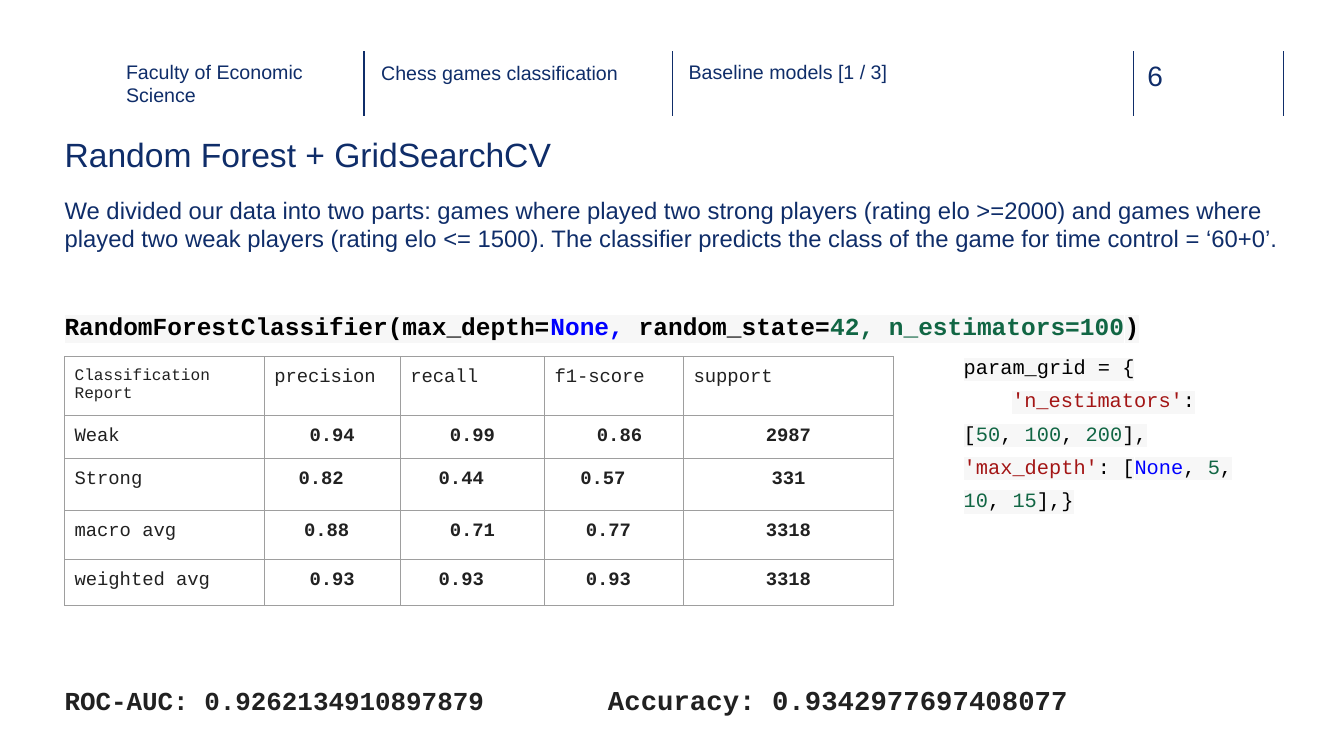
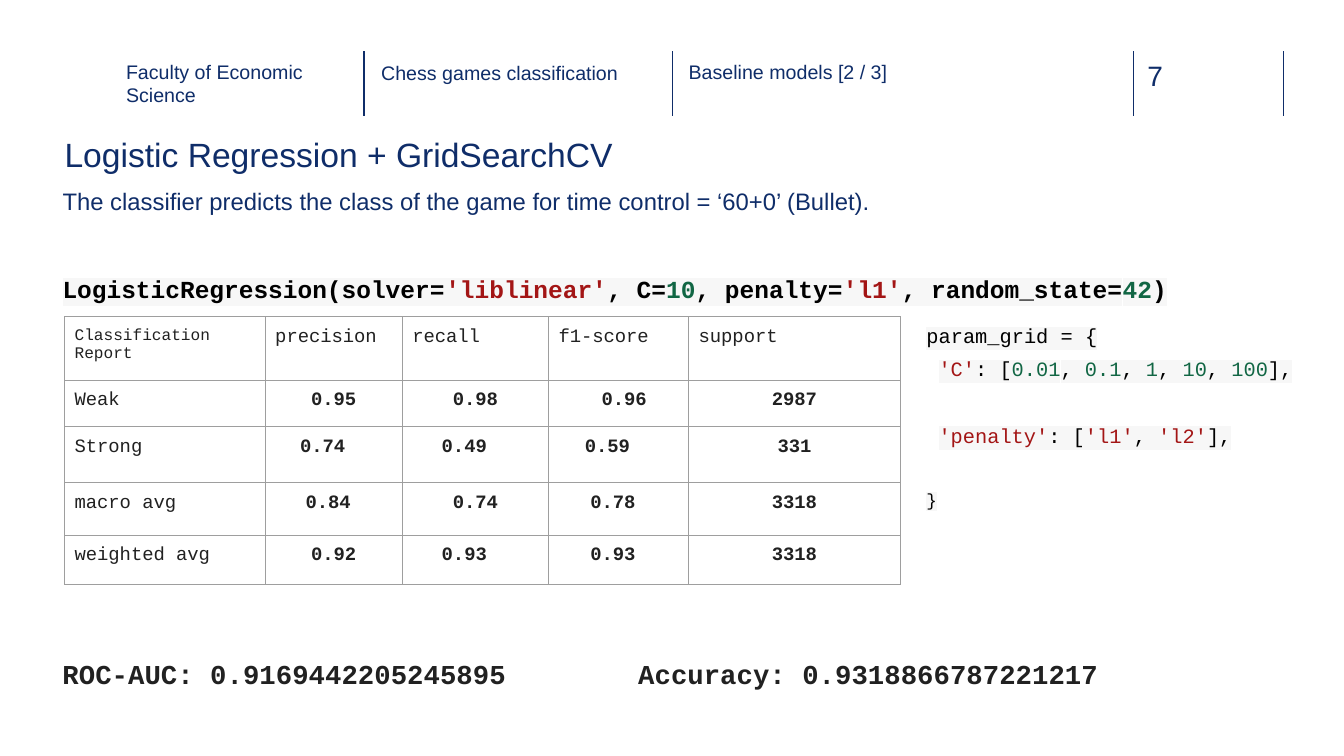
from dataclasses import dataclass

import lxml.etree
import pptx
import pptx.dml.color
import pptx.enum.shapes
import pptx.enum.text
import pptx.oxml.ns
import pptx.util

PX = 9144  # EMU in one px, 100 px to the inch


@dataclass(frozen=True)
class Theme:
    sans: str = "Arial"
    mono: str = "Courier New"
    navy: str = "0F2D69"
    black: str = "000000"
    ink: str = "212121"
    blue: str = "0000FF"
    green: str = "116644"
    red: str = "A31515"
    shade: str = "F7F7F7"
    grid: str = "9E9E9E"
    head: float = 14
    page: float = 20
    title: float = 24
    intro: float = 17
    call: float = 17.5
    code: float = 14.5
    brace: float = 12.5
    cell: float = 13.5
    corner: float = 11.5


THEME = Theme()
HEADS = ["precision", "recall", "f1-score", "support"]
LABELS = ["Weak", "Strong", "macro avg", "weighted avg"]
# Half-character nudges of the table values: positive moves left
NUDGE = [[0, 0, -1, 0], [2, 2, 2, 0], [1, 0, 1, 0], [0, 2, 1, 0]]
NUDGE_PX = 11
PAD = 10

SLIDES = [
    dict(
        page=6,
        part="Baseline models [1 / 3]",
        title="Random Forest + GridSearchCV",
        intro=(64, 194, "We divided our data into two parts: games where played two "
               "strong players (rating elo >=2000) and games where played two weak "
               "players (rating elo <= 1500). The classifier predicts the class of "
               "the game for time control = ‘60+0’."),
        call=(64, 309, "RandomForestClassifier(max_depth=|None, |random_state=|"
              "42, n_estimators=100|)"),
        top=354,
        cols=[198, 135, 143, 138, 208],
        rows=[55, 36, 52, 48, 46],
        values=[["0.94", "0.99", "0.86", "2987"], ["0.82", "0.44", "0.57", "331"],
                ["0.88", "0.71", "0.77", "3318"], ["0.93", "0.93", "0.93", "3318"]],
        box=(946, 333, 291, 257),
        # text, indent in px, space before in pt, size
        code=[("param_grid = {", 0, 0, THEME.code),
              ("'n_estimators'|: [|50|, |100|, |200|],", 48, 0, THEME.code),
              ("'max_depth'|: [|None|, |5|, |10|, |15|],}", 0, 0, THEME.code)],
        scores=[(64, 679, "ROC-AUC: 0.9262134910897879", 18.5),
                (603, 678, "Accuracy: 0.9342977697408077", 19.5)],
    ),
    dict(
        page=7,
        part="Baseline models [2 / 3]",
        title="Logistic Regression + GridSearchCV",
        intro=(62, 185, "The classifier predicts the class of the game for time "
               "control = ‘60+0’ (Bullet)."),
        call=(62, 272, "LogisticRegression(solver=|'liblinear'|, C=|10|, penalty=|"
              "'l1'|, random_state=|42|)"),
        top=314,
        cols=[199, 136, 145, 139, 210],
        rows=[63, 46, 56, 52, 49],
        values=[["0.95", "0.98", "0.96", "2987"], ["0.74", "0.49", "0.59", "331"],
                ["0.84", "0.74", "0.78", "3318"], ["0.92", "0.93", "0.93", "3318"]],
        box=(909, 302, 384, 257),
        code=[("param_grid = {", 0, 0, THEME.code),
              ("'C'|: [|0.01|, |0.1|, |1|, |10|, |100|],", 12, 0, THEME.code),
              ("'penalty'|: [|'l1'|, |'l2'|],", 12, 24, THEME.code),
              ("}", 0, 24, THEME.brace)],
        scores=[(62, 652, "ROC-AUC: 0.9169442205245895", 19.5),
                (633, 652, "Accuracy: 0.9318866787221217", 19.5)],
    ),
]


def rgb(tint):
    return pptx.dml.color.RGBColor.from_string(tint)


def style(run, font, size, tint, bold=False):
    run.font.name = font
    run.font.size = pptx.util.Pt(size)
    run.font.bold = bold
    run.font.color.rgb = rgb(tint)


def frame(slide, left, top, width, height, pad=0):
    """Add an empty wrapping text box and return its text frame."""
    box = slide.shapes.add_textbox(left * PX, top * PX, width * PX, height * PX)
    text = box.text_frame
    text.word_wrap = True
    text.margin_left = text.margin_right = pad * PX
    text.margin_top = text.margin_bottom = pad * PX
    return text


def label(slide, left, top, width, height, words, size,
          font=THEME.sans, tint=THEME.navy, bold=False):
    text = frame(slide, left, top, width, height)
    text.text = words
    style(text.paragraphs[0].runs[0], font, size, tint, bold)


def hue(token):
    """Pick the syntax colour from how a token starts."""
    if token.startswith("'"):
        return THEME.red
    if token.startswith("None"):
        return THEME.blue
    return THEME.green if token[0].isdigit() else THEME.black


def shade(run):
    mark = lxml.etree.Element(pptx.oxml.ns.qn("a:highlight"))
    tint = lxml.etree.SubElement(mark, pptx.oxml.ns.qn("a:srgbClr"))
    tint.set("val", THEME.shade)
    run.font._element.find(pptx.oxml.ns.qn("a:latin")).addprevious(mark)


def code_line(para, line, size, bold=False):
    """Write tokens split by bars as shaded, coloured runs."""
    for token in line.split("|"):
        run = para.add_run()
        run.text = token
        style(run, THEME.mono, size, hue(token), bold)
        shade(run)


def code_box(slide, box, lines):
    text = frame(slide, *box, pad=PAD)
    for index, (line, indent, gap, size) in enumerate(lines):
        para = text.add_paragraph() if index else text.paragraphs[0]
        para.line_spacing = 1.36
        para.space_before = pptx.util.Pt(gap)
        para._p.get_or_add_pPr().set("indent", str(indent * PX))
        code_line(para, line, size)


def rule(slide, left, top, height):
    line = slide.shapes.add_connector(
        pptx.enum.shapes.MSO_CONNECTOR.STRAIGHT,
        left * PX, top * PX, left * PX, (top + height) * PX)
    line.line.color.rgb = rgb(THEME.navy)
    line.line.width = pptx.util.Pt(1)
    lxml.etree.SubElement(line._element.spPr, pptx.oxml.ns.qn("a:effectLst"))


def header(slide, part, page):
    for left in (361, 667, 1124, 1273):
        rule(slide, left, 51, 64)
    label(slide, 125, 59, 208, 45, "Faculty of Economic Science", THEME.head)
    label(slide, 378, 60, 259, 45, "Chess games classification", THEME.head)
    label(slide, 683, 59, 226, 45, part, THEME.head)
    label(slide, 1138, 58, 73, 34, str(page), THEME.page)


def border(cell):
    props = cell._tc.get_or_add_tcPr()
    for index, side in enumerate(("a:lnL", "a:lnR", "a:lnT", "a:lnB")):
        edge = lxml.etree.Element(pptx.oxml.ns.qn(side))
        edge.set("w", str(pptx.util.Pt(0.75)))
        fill = lxml.etree.SubElement(edge, pptx.oxml.ns.qn("a:solidFill"))
        tint = lxml.etree.SubElement(fill, pptx.oxml.ns.qn("a:srgbClr"))
        tint.set("val", THEME.grid)
        props.insert(index, edge)


def fill_cell(cell, words, size=THEME.cell, nudge=None):
    """Write a cell; a nudge makes it a bold, centred value."""
    value = nudge is not None
    shift = nudge or 0
    cell.text = words
    cell.fill.background()
    border(cell)
    cell.margin_top = cell.margin_bottom = PAD * PX
    cell.margin_left = (PAD + NUDGE_PX * max(-shift, 0)) * PX
    cell.margin_right = (PAD + NUDGE_PX * max(shift, 0)) * PX
    para = cell.text_frame.paragraphs[0]
    if value:
        para.alignment = pptx.enum.text.PP_ALIGN.CENTER
    style(para.runs[0], THEME.mono, size, THEME.ink, value)


def report(slide, top, cols, rows, values):
    table = slide.shapes.add_table(
        len(rows), len(cols), 64 * PX, top * PX,
        sum(cols) * PX, sum(rows) * PX).table
    table.first_row = table.horz_banding = False
    for column, width in zip(table.columns, cols):
        column.width = width * PX
    for row, height in zip(table.rows, rows):
        row.height = height * PX
    fill_cell(table.cell(0, 0), "Classification Report", THEME.corner)
    for col, head in enumerate(HEADS, 1):
        fill_cell(table.cell(0, col), head)
    for row, name in enumerate(LABELS, 1):
        fill_cell(table.cell(row, 0), name)
        pairs = zip(values[row - 1], NUDGE[row - 1])
        for col, (value, nudge) in enumerate(pairs, 1):
            fill_cell(table.cell(row, col), value, nudge=nudge)


def build(deck, data):
    slide = deck.slides.add_slide(deck.slide_layouts[6])
    header(slide, data["part"], data["page"])
    label(slide, 64, 133, 1209, 52, data["title"], THEME.title)
    left, top, words = data["intro"]
    label(slide, left, top, 1209, 60, words, THEME.intro)
    left, top, line = data["call"]
    call = frame(slide, left, top, 1209, 30)
    code_line(call.paragraphs[0], line, THEME.call, bold=True)
    report(slide, data["top"], data["cols"], data["rows"], data["values"])
    code_box(slide, data["box"], data["code"])
    for left, top, words, size in data["scores"]:
        label(slide, left, top, 520, 32, words, size,
              THEME.mono, THEME.ink, bold=True)


def main():
    deck = pptx.Presentation()
    deck.slide_width = 1333 * PX
    deck.slide_height = 750 * PX
    for data in SLIDES:
        build(deck, data)
    deck.save("out.pptx")


if __name__ == "__main__":
    main()
